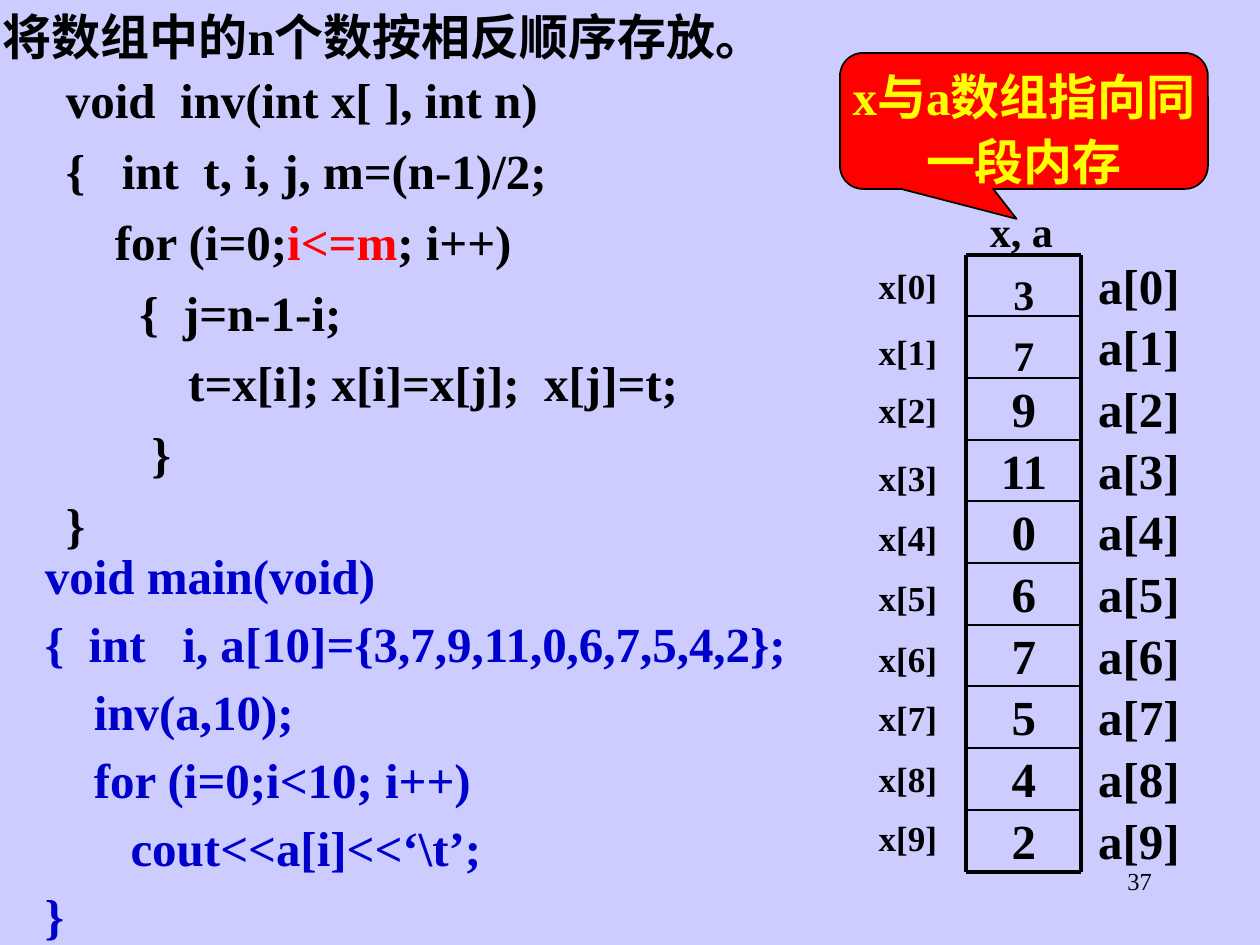
from lxml import etree
from pptx import Presentation
from pptx.dml.color import RGBColor
from pptx.enum.shapes import MSO_CONNECTOR, MSO_SHAPE
from pptx.enum.text import MSO_ANCHOR, MSO_AUTO_SIZE, PP_ALIGN
from pptx.oxml.ns import qn
from pptx.util import Pt

LEFT, CENTER, RIGHT = PP_ALIGN.LEFT, PP_ALIGN.CENTER, PP_ALIGN.RIGHT
TOP, NO_FIT = MSO_ANCHOR.TOP, MSO_AUTO_SIZE.NONE
CALLOUT, STRAIGHT = MSO_SHAPE.ROUNDED_RECTANGULAR_CALLOUT, MSO_CONNECTOR.STRAIGHT
PX = 914400 / 126
BLACK, BLUE, RED, YELLOW = "000000", "0000CC", "FF0000", "FFFF00"
color = RGBColor.from_string


def write(shape, place, lines, size=28, ink=BLACK, bold=True, align=LEFT,
          spacing=None, before=0, margins=(3, 1, 3, 1), marked=None):
    """Place a shape and fill it with lines, showing the marked words in red."""
    for name, value in zip(("left", "top", "width", "height"), place):
        setattr(shape, name, round(value * PX))
    frame = shape.text_frame
    left, top, right, bottom = (round(value * PX) for value in margins)
    frame_format = {"word_wrap": True, "auto_size": NO_FIT, "vertical_anchor": TOP,
                    "margin_left": left, "margin_top": top,
                    "margin_right": right, "margin_bottom": bottom}
    for name, value in frame_format.items():
        setattr(frame, name, value)
    for index, line in enumerate(lines):
        para = frame.add_paragraph() if index else frame.paragraphs[0]
        para_format = {"alignment": align, "line_spacing": spacing,
                       "space_before": Pt(before if index else 0)}
        for name, value in para_format.items():
            setattr(para, name, value)
        spans = line.partition(marked) if marked else [line]
        for text in filter(None, spans):
            span = para.add_run()
            span.text = text
            font_format = {"name": "Times New Roman", "size": Pt(size), "bold": bold}
            for name, value in font_format.items():
                setattr(span.font, name, value)
            span.font.color.rgb = color(RED if text == marked else ink)


deck = Presentation()
deck.slide_width, deck.slide_height = round(1260 * PX), round(945 * PX)
page = deck.slides.add_slide(deck.slide_layouts[5])
page.background.fill.solid()
page.background.fill.fore_color.rgb = color("CCCCFF")
shapes = page.shapes


def add_text(place, lines, **text_format):
    write(shapes.add_textbox(0, 0, 0, 0), place, lines, **text_format)


write(shapes.title, (0, 0, 1260, 68), ["将数组中的n个数按相反顺序存放。"], spacing=1.1)
add_text((903, 860, 262, 63), ["37"], size=14, bold=False, align=RIGHT,
         margins=(13, 6, 13, 6))

# Program code
inv_code = [
    "void  inv(int x[ ], int n)",
    "{   int  t, i, j, m=(n-1)/2;",
    "    for (i=0;i<=m; i++)",
    "      {  j=n-1-i;",
    "          t=x[i]; x[i]=x[j];  x[j]=t;",
    "       }",
    "}",
]
main_code = [
    "void main(void)",
    "{  int   i, a[10]={3,7,9,11,0,6,7,5,4,2};",
    "    inv(a,10);",
    "    for (i=0;i<10; i++)",
    "       cout<<a[i]<<‘\\t’;",
    "}",
]
add_text((63, 63, 640, 493), inv_code, spacing=1.1, before=3.5, marked="i<=m")
add_text((42, 539, 756, 407), main_code, ink=BLUE, spacing=1.1, before=1.8)

# Array in memory: cell values with the x and a labels beside them
values = [3, 7, 9, 11, 0, 6, 7, 5, 4, 2]
row_tops = [255 + 617 * row // 10 for row in range(11)]
x_label_tops = [255, 320, 379] + [447 + 60 * row for row in range(7)]
cell_left, cell_right, cell_width = 966, 1081, 116
for row, value in enumerate(values):
    top = row_tops[row]
    if row < 2:
        add_text((cell_left, top + 7, cell_width, 58), [str(value)], size=24,
                 align=CENTER, spacing=1.1)
    else:
        add_text((cell_left, top, cell_width, 62), [str(value)], align=CENTER)
    add_text((850, x_label_tops[row], cell_width, 60), [f"x[{row}]"], size=20,
             align=CENTER, margins=(3, 10, 3, 5))
    add_text((cell_right, top, cell_width, 62), [f"a[{row}]"], align=CENTER)
add_text((987, 199, cell_width, 58), ["x, a"], size=24, spacing=1.1)

first, last = row_tops[0], row_tops[-1]
rules = [(cell_left, top, cell_right, top, 2.25 if top in (first, last) else 1)
         for top in row_tops]
rules += [(side, first, side, last, 2.25) for side in (cell_left, cell_right)]
for *ends, weight in rules:
    rule = shapes.add_connector(STRAIGHT, *(round(end * PX) for end in ends))
    rule.line.color.rgb = color(BLACK)
    rule.line.width = Pt(weight)
    etree.SubElement(rule.element.spPr, qn("a:effectLst"))

callout = shapes.add_shape(CALLOUT, 0, 0, 0, 0)
callout.shadow.inherit = False
callout.fill.solid()
callout.fill.fore_color.rgb = color(RED)
callout.line.color.rgb = color(BLACK)
callout.line.width = Pt(1)
for index, value in enumerate((-0.02, 0.72, 0.17)):
    callout.adjustments[index] = value
write(callout, (840, 53, 368, 136), ["x与a数组指向同一段内存"], ink=YELLOW,
      align=CENTER, spacing=1.1)

deck.save("out.pptx")
